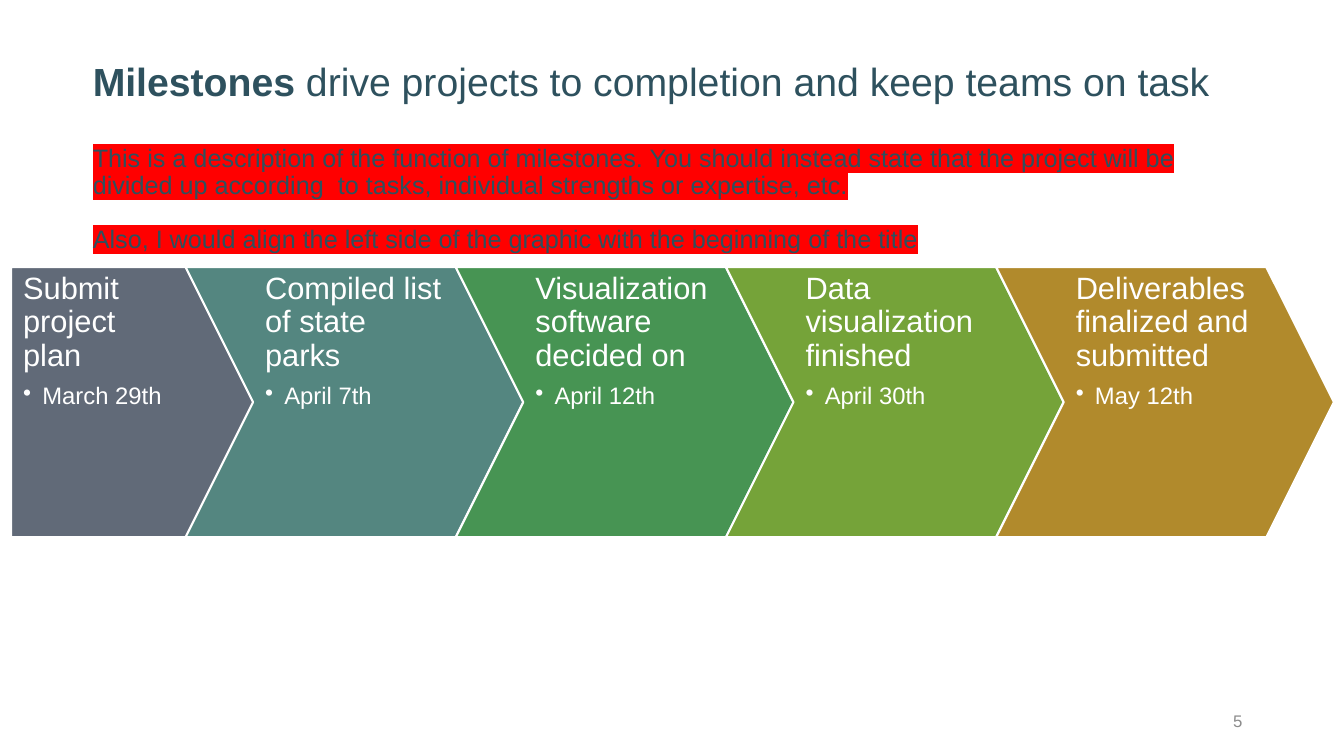
from dataclasses import dataclass

import pptx
import pptx.dml.color
import pptx.enum.shapes
import pptx.enum.text
import pptx.oxml
import pptx.oxml.ns
import pptx.util
from pptx.util import Inches

SHAPES = pptx.enum.shapes.MSO_SHAPE
ALIGN = pptx.enum.text.PP_ALIGN
ANCHOR = pptx.enum.text.MSO_ANCHOR


@dataclass(frozen=True)
class Theme:
    font: str = "Arial"
    heading: str = "2E515E"
    highlight: str = "FF0000"
    white: str = "FFFFFF"
    number: str = "8C8C8C"
    title_size: int = 28
    remark_size: int = 18
    task_size: int = 22
    date_size: int = 17
    number_size: int = 12


@dataclass(frozen=True)
class Box:
    left: float
    top: float
    width: float
    height: float

    def lengths(self) -> tuple:
        return tuple(Inches(n) for n in (self.left, self.top, self.width, self.height))


@dataclass(frozen=True)
class Insets:
    left: float
    top: float
    right: float
    bottom: float


@dataclass(frozen=True)
class Milestone:
    task: str
    date: str
    fill: str


THEME = Theme()
BAND_TOP = 2.65
BAND_HEIGHT = 2.68
FIRST_CHEVRON = 1.84
PITCH = 2.68
POINT = 0.67
MILESTONES = [
    Milestone("Submit project plan", "March 29th", "616A78"),
    Milestone("Compiled list of state parks", "April 7th", "548680"),
    Milestone("Visualization software decided on", "April 12th", "479453"),
    Milestone("Data visualization finished", "April 30th", "75A339"),
    Milestone("Deliverables finalized and submitted", "May 12th", "B18A2C"),
]
REMARKS = [
    ("This is a description of the function of milestones. You should instead state that "
     "the project will be divided up according  to tasks, individual strengths or expertise, etc.", 29),
    ("Also, I would align the left side of the graphic with the beginning of the title", 19),
]


def rgb(value: str) -> pptx.dml.color.RGBColor:
    return pptx.dml.color.RGBColor.from_string(value)


def add_span(para, text: str, size: int, color: str, bold: bool = False):
    span = para.add_run()
    span.text = text
    span.font.size = pptx.util.Pt(size)
    span.font.bold = bold
    span.font.color.rgb = rgb(color)
    span.font.name = THEME.font
    return span


def add_highlight(span, color: str) -> None:
    namespace = pptx.oxml.ns.nsdecls("a")
    mark = pptx.oxml.parse_xml(f'<a:highlight {namespace}><a:srgbClr val="{color}"/></a:highlight>')
    span.font._element.find(pptx.oxml.ns.qn("a:solidFill")).addnext(mark)


def add_bullet(para) -> None:
    properties = para._p.get_or_add_pPr()
    properties.set("marL", str(Inches(0.19)))
    properties.set("indent", str(Inches(-0.19)))
    namespace = pptx.oxml.ns.nsdecls("a")
    properties.append(pptx.oxml.parse_xml(f'<a:buChar {namespace} char="•"/>'))


def add_text_frame(page, box: Box, insets: Insets, anchor=ANCHOR.TOP):
    frame = page.shapes.add_textbox(*box.lengths()).text_frame
    frame.word_wrap = True
    frame.vertical_anchor = anchor
    frame.margin_left = Inches(insets.left)
    frame.margin_top = Inches(insets.top)
    frame.margin_right = Inches(insets.right)
    frame.margin_bottom = Inches(insets.bottom)
    return frame


def add_title(page) -> None:
    frame = add_text_frame(page, Box(0.92, 0.62, 11.52, 1.34), Insets(0, 0, 0, 0))
    para = frame.paragraphs[0]
    para.line_spacing = 0.9
    add_span(para, "Milestones", THEME.title_size, THEME.heading, bold=True)
    add_span(para, " drive projects to completion and keep teams on task",
             THEME.title_size, THEME.heading)
    for remark, gap in REMARKS:
        para = frame.add_paragraph()
        para.line_spacing = 0.9
        para.space_before = pptx.util.Pt(gap)
        add_highlight(add_span(para, remark, THEME.remark_size, THEME.heading), THEME.highlight)


def add_arrow(page, preset, box: Box, fill: str) -> None:
    arrow = page.shapes.add_shape(preset, *box.lengths())
    arrow.adjustments[0] = 0.25
    arrow.shadow.inherit = False
    arrow.fill.solid()
    arrow.fill.fore_color.rgb = rgb(fill)
    arrow.line.color.rgb = rgb(THEME.white)
    arrow.line.width = pptx.util.Pt(1.5)


def add_label(page, milestone: Milestone, box: Box, insets: Insets) -> None:
    frame = add_text_frame(page, box, insets)
    task = frame.paragraphs[0]
    task.line_spacing = 0.9
    task.space_after = pptx.util.Pt(8)
    add_span(task, milestone.task, THEME.task_size, THEME.white)
    date = frame.add_paragraph()
    date.level = 1
    date.line_spacing = 0.9
    add_bullet(date)
    add_span(date, milestone.date, THEME.date_size, THEME.white)


def add_milestone(page, index: int, milestone: Milestone) -> None:
    if index == 0:
        preset, left, width = SHAPES.PENTAGON, 0.11, 2.41
        label_left, label_width, right_inset = left, 2.11, 0.47
    else:
        preset, left, width = SHAPES.CHEVRON, FIRST_CHEVRON + (index - 1) * PITCH, 3.35
        label_left, label_width, right_inset = left + POINT, 2.01, 0.12
    add_arrow(page, preset, Box(left, BAND_TOP, width, BAND_HEIGHT), milestone.fill)
    add_label(page, milestone, Box(label_left, BAND_TOP, label_width, BAND_HEIGHT),
              Insets(0.12, 0.06, right_inset, 0.06))


def add_page_number(page) -> None:
    frame = add_text_frame(page, Box(9.42, 6.95, 3, 0.4), Insets(0.1, 0.05, 0.1, 0.05), ANCHOR.MIDDLE)
    para = frame.paragraphs[0]
    para.alignment = ALIGN.RIGHT
    add_span(para, "5", THEME.number_size, THEME.number)


def main() -> None:
    deck = pptx.Presentation()
    deck.slide_width = Inches(13.33)
    deck.slide_height = Inches(7.5)
    page = deck.slides.add_slide(deck.slide_layouts[6])
    add_page_number(page)
    add_title(page)
    for index, milestone in enumerate(MILESTONES):
        add_milestone(page, index, milestone)
    deck.save("out.pptx")


if __name__ == "__main__":
    main()
